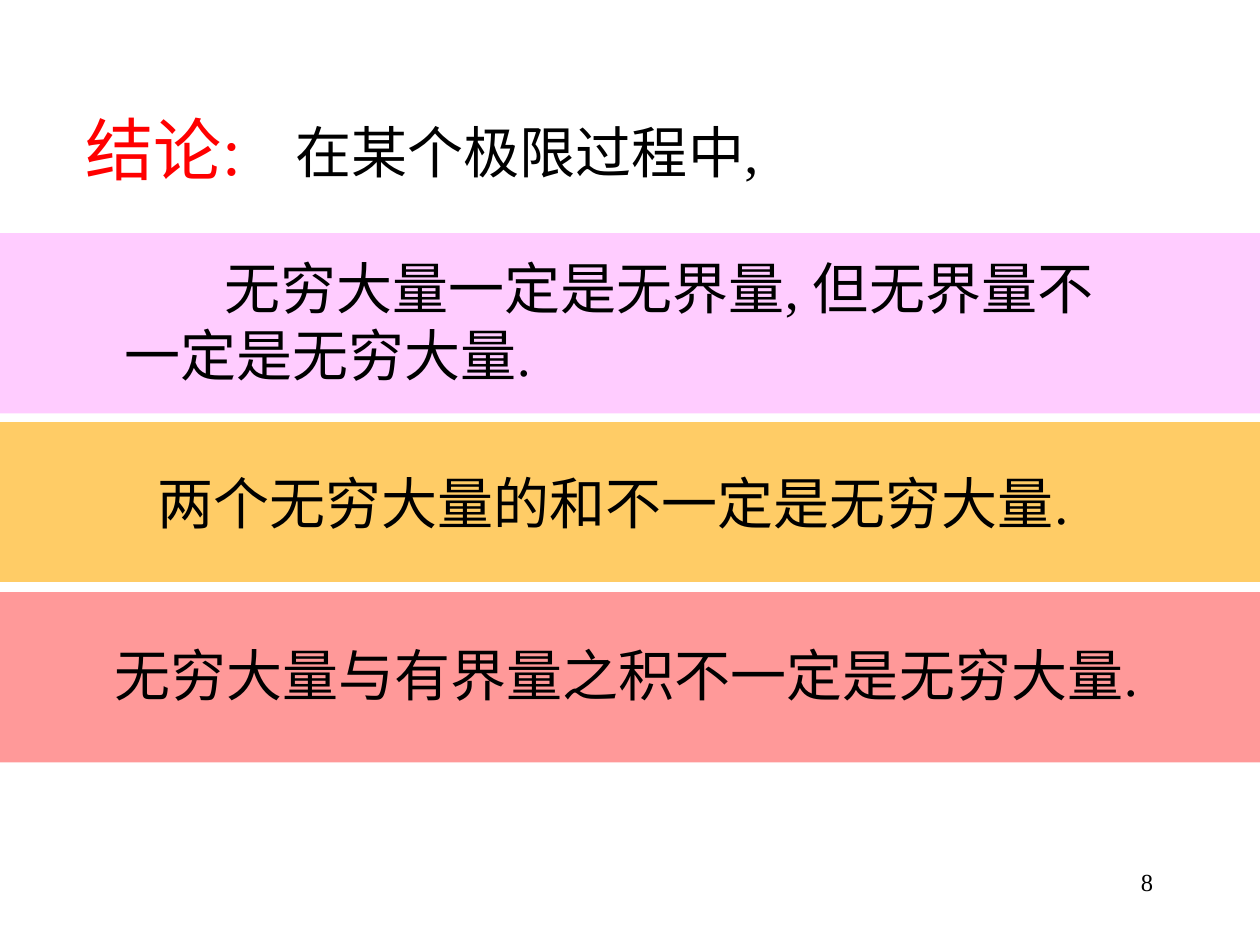
"""Build the slide of conclusions about infinite and unbounded quantities."""
import pptx
import pptx.dml.color
import pptx.enum.shapes
import pptx.enum.text
import pptx.util

Pt = pptx.util.Pt
RGBColor = pptx.dml.color.RGBColor
PP_ALIGN = pptx.enum.text.PP_ALIGN

BLACK = RGBColor(0x00, 0x00, 0x00)
RED = RGBColor(0xFF, 0x00, 0x00)
PINK = RGBColor(0xFF, 0xCC, 0xFF)
AMBER = RGBColor(0xFF, 0xCC, 0x66)
CORAL = RGBColor(0xFF, 0x99, 0x99)

FONT = "Times New Roman"
SLIDE_WIDTH, SLIDE_HEIGHT = 720, 540

CONCLUSIONS = [
    (PINK, 133.2, 103, "无穷大量一定是无界量, 但无界量不一定是无穷大量.", (64.1, 141.1, 576, 83.5), 57),
    (AMBER, 241.2, 91.4, "两个无穷大量的和不一定是无穷大量.", (82.8, 264.2, 583.2, 45.4), 0),
    (CORAL, 338.4, 97.2, "无穷大量与有界量之积不一定是无穷大量.", (58.5, 362.2, 654.3, 45.4), 0),
]


def write_text(holder, text, size, color=BLACK, align=PP_ALIGN.LEFT, indent=0):
    frame = holder.text_frame
    frame.word_wrap = True
    frame.auto_size = pptx.enum.text.MSO_AUTO_SIZE.NONE
    frame.vertical_anchor = pptx.enum.text.MSO_ANCHOR.TOP
    frame.text = text
    paragraph = frame.paragraphs[0]
    paragraph.alignment = align
    if indent:
        paragraph._p.get_or_add_pPr().set("indent", str(Pt(indent)))
    paragraph.font.name = FONT
    paragraph.font.size = Pt(size)
    paragraph.font.color.rgb = color


def add_heading(slide, text, box):
    heading = slide.shapes.title
    heading.left, heading.top, heading.width, heading.height = map(Pt, box)
    write_text(heading, text, 39, RED)


def add_label(shapes, text, box, size=32, **style):
    label = shapes.add_textbox(*map(Pt, box))
    write_text(label, text, size, **style)


def add_conclusion(slide, color, top, height, text, text_box, indent):
    conclusion = slide.shapes.add_group_shape()
    band = conclusion.shapes.add_shape(
        pptx.enum.shapes.MSO_SHAPE.RECTANGLE, 0, Pt(top), Pt(SLIDE_WIDTH), Pt(height))
    band.shadow.inherit = False
    band.fill.solid()
    band.fill.fore_color.rgb = color
    band.line.fill.background()
    add_label(conclusion.shapes, text, text_box, indent=indent)


def main():
    deck = pptx.Presentation()
    deck.slide_width, deck.slide_height = Pt(SLIDE_WIDTH), Pt(SLIDE_HEIGHT)
    slide = deck.slides.add_slide(deck.slide_layouts.get_by_name("Title Only"))
    add_heading(slide, "结论:", (41.8, 57.6, 120.2, 54))
    add_label(slide.shapes, "在某个极限过程中,", (162, 63.4, 322.6, 45.4))
    for conclusion in CONCLUSIONS:
        add_conclusion(slide, *conclusion)
    add_label(slide.shapes, "8", (516.2, 491.8, 149.8, 36), size=14, align=PP_ALIGN.RIGHT)
    deck.save("out.pptx")


if __name__ == "__main__":
    main()
